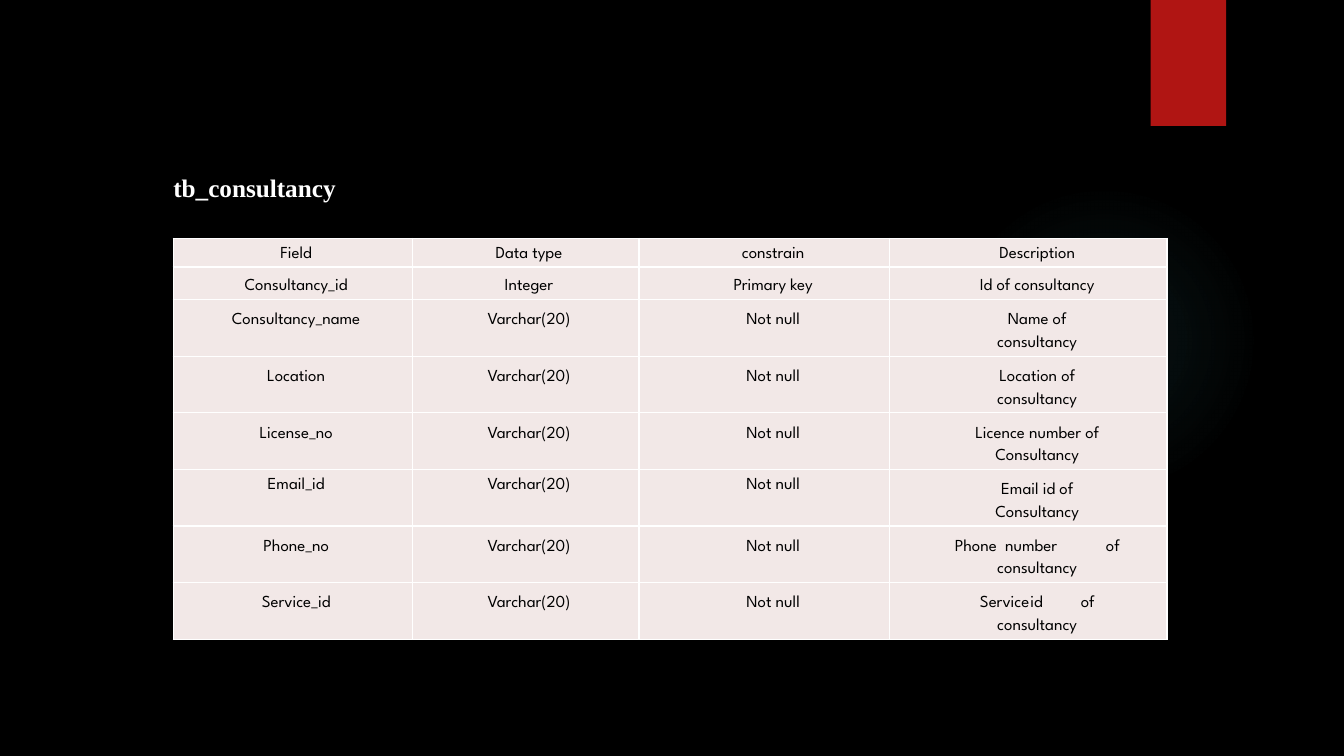
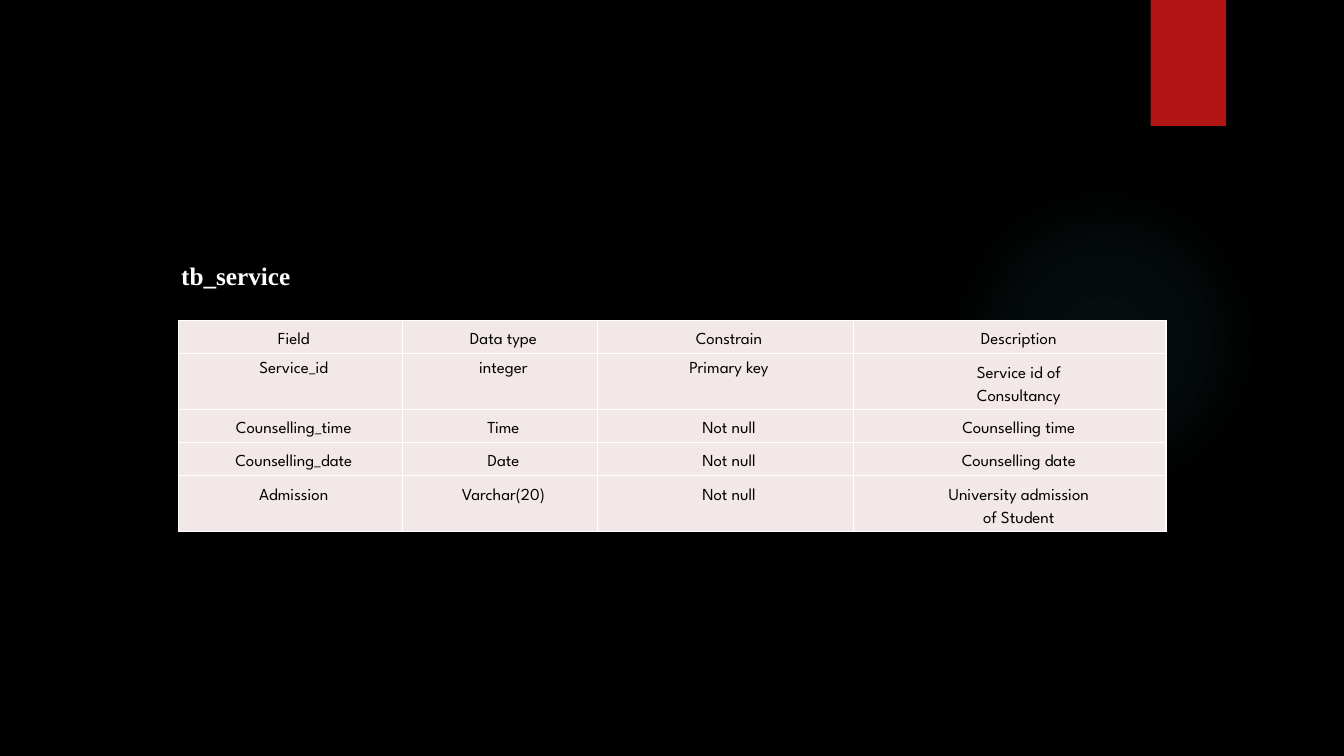
from dataclasses import dataclass

from pptx import Presentation
from pptx.dml.color import RGBColor as Rgb
from pptx.enum.shapes import MSO_SHAPE as Preset
from pptx.enum.text import MSO_ANCHOR as Anchor, MSO_AUTO_SIZE as AutoSize, PP_ALIGN as Align
from pptx.oxml import parse_xml
from pptx.util import Pt

DRAWING = 'xmlns:a="http://schemas.openxmlformats.org/drawingml/2006/main"'


@dataclass(frozen=True)
class Theme:
    background: str = "000000"
    ribbon: str = "B01513"
    glow: str = "50B9C1"
    cell: str = "F2E8E7"
    border: str = "FFFFFF"
    title: str = "FFFFFF"
    body: str = "000000"
    title_font: str = "Times New Roman"
    body_font: str = "League Spartan"
    title_size: float = 18
    body_size: float = 12
    border_width: float = 1
    tight_line: float = 13.2
    single_line: float = 16.1
    opening_line: float = 17.1
    cell_margin: float = 3.6
    tab: float = 36


@dataclass(frozen=True)
class Row:
    cells: tuple
    tight: bool = False

    def line_heights(self, column):
        lines = self.cells[column].split("\n")
        if len(lines) > 1:
            return [THEME.opening_line] + [THEME.single_line] * (len(lines) - 1)
        if self.tight:
            return [THEME.tight_line]
        wraps = "\n" in self.cells[-1]
        return [THEME.opening_line if wraps else THEME.single_line]

    def height(self):
        return sum(self.line_heights(len(self.cells) - 1)) + 2 * THEME.cell_margin


THEME = Theme()

CONSULTANCY_ROWS = (
    Row(("Field", "Data type", "constrain", "Description"), tight=True),
    Row(("Consultancy_id", "Integer", "Primary key", "Id of consultancy")),
    Row(("Consultancy_name", "Varchar(20)", "Not null", "Name of\nconsultancy")),
    Row(("Location", "Varchar(20)", "Not null", "Location of\nconsultancy")),
    Row(("License_no", "Varchar(20)", "Not null", "Licence number of\nConsultancy")),
    Row(("Email_id", "Varchar(20)", "Not null", "Email id of\nConsultancy"), tight=True),
    Row(("Phone_no", "Varchar(20)", "Not null", "Phone\tnumber\tof\nconsultancy")),
    Row(("Service_id", "Varchar(20)", "Not null", "Service\tid\tof\nconsultancy")),
)

SERVICE_ROWS = (
    Row(("Field", "Data type", "Constrain", "Description")),
    Row(("Service_id", "integer", "Primary key", "Service id of\nConsultancy"), tight=True),
    Row(("Counselling_time", "Time", "Not null", "Counselling time")),
    Row(("Counselling_date", "Date", "Not null", "Counselling date")),
    Row(("Admission", "Varchar(20)", "Not null", "University admission\nof Student")),
)


def add_run(para, text, font, size, color, bold=False):
    span = para.add_run()
    span.text = text
    span.font.name = font
    span.font.size = Pt(size)
    span.font.bold = bold
    span.font.color.rgb = Rgb.from_string(color)


def indent(para, left, first=0):
    properties = para._p.get_or_add_pPr()
    properties.set("marL", str(Pt(left)))
    properties.set("indent", str(Pt(first)))
    properties.set("defTabSz", str(Pt(THEME.tab)))


def add_plain_shape(page, preset, left, top, width, height, color):
    shape = page.shapes.add_shape(preset, Pt(left), Pt(top), Pt(width), Pt(height))
    shape.shadow.inherit = False
    shape.line.fill.background()
    shape.fill.solid()
    shape.fill.fore_color.rgb = Rgb.from_string(color)
    return shape


def fade_out(shape, color, stops):
    marks = "".join(
        f'<a:gs pos="{place * 1000}"><a:srgbClr val="{color}">'
        f'<a:alpha val="{opacity * 1000}"/></a:srgbClr></a:gs>'
        for place, opacity in stops
    )
    gradient = parse_xml(
        f'<a:gradFill {DRAWING} rotWithShape="1"><a:gsLst>{marks}</a:gsLst>'
        '<a:path path="circle"><a:fillToRect l="50000" t="50000" r="50000" b="50000"/>'
        "</a:path></a:gradFill>"
    )
    properties = shape.element.spPr
    properties.replace(properties.find("{*}solidFill"), gradient)


def decorate_layout(layout, page):
    fill = layout.background.fill
    fill.solid()
    fill.fore_color.rgb = Rgb.from_string(THEME.background)
    glow = add_plain_shape(page, Preset.OVAL, 677.5, 131.8, 221.8, 221.8, THEME.glow)
    fade_out(glow, THEME.glow, ((0, 7), (36, 6), (69, 0), (100, 0)))
    ribbon = add_plain_shape(page, Preset.RECTANGLE, 821.9, 0, 54, 90, THEME.ribbon)
    for place, shape in enumerate((glow, ribbon), start=2):
        layout.shapes.element.insert(place, shape.element)


def set_title(page, text, left, top):
    box = page.shapes.title
    box.left, box.top, box.width, box.height = Pt(left), Pt(top), Pt(480), Pt(28.8)
    frame = box.text_frame
    frame.word_wrap = True
    frame.auto_size = AutoSize.SHAPE_TO_FIT_TEXT
    frame.vertical_anchor = Anchor.TOP
    para = frame.paragraphs[0]
    para.alignment = Align.JUSTIFY
    indent(para, 36, 36)
    add_run(para, text, THEME.title_font, THEME.title_size, THEME.title, bold=True)


def outline_cell(cell):
    properties = cell._tc.get_or_add_tcPr()
    for place, side in enumerate(("lnL", "lnR", "lnT", "lnB")):
        properties.insert(place, parse_xml(
            f'<a:{side} {DRAWING} w="{Pt(THEME.border_width)}"><a:solidFill>'
            f'<a:srgbClr val="{THEME.border}"/></a:solidFill></a:{side}>'
        ))


def fill_cell(cell, text, line_heights, left):
    cell.fill.solid()
    cell.fill.fore_color.rgb = Rgb.from_string(THEME.cell)
    cell.margin_top = cell.margin_bottom = Pt(THEME.cell_margin)
    outline_cell(cell)
    frame = cell.text_frame
    for number, (line, height) in enumerate(zip(text.split("\n"), line_heights)):
        para = frame.add_paragraph() if number else frame.paragraphs[0]
        para.alignment = Align.CENTER
        para.line_spacing = Pt(height)
        indent(para, left)
        add_run(para, line, THEME.body_font, THEME.body_size, THEME.body)


def add_field_table(page, rows, left, top, widths, indents):
    total = sum(row.height() for row in rows)
    frame = page.shapes.add_table(
        len(rows), len(widths), Pt(left), Pt(top), Pt(sum(widths)), Pt(total)
    )
    table = frame.table
    table.first_row = table.horz_banding = False
    for column, width in zip(table.columns, widths):
        column.width = Pt(width)
    for number, row in enumerate(rows):
        table.rows[number].height = Pt(row.height())
        for column, text in enumerate(row.cells):
            fill_cell(table.cell(number, column), text, row.line_heights(column), indents[column])


def main():
    deck = Presentation()
    deck.slide_width, deck.slide_height = Pt(960), Pt(540)
    layout = deck.slide_layouts[5]

    consultancy = deck.slides.add_slide(layout)
    decorate_layout(layout, consultancy)
    set_title(consultancy, "tb_consultancy", 44.6, 119.5)
    add_field_table(consultancy, CONSULTANCY_ROWS, 123.8, 170.3,
                    (170.6, 162, 178.8, 198.5), (5, 5, 13, 13))

    service = deck.slides.add_slide(layout)
    set_title(service, "tb_service", 50.2, 182.2)
    add_field_table(service, SERVICE_ROWS, 127.4, 229,
                    (160, 139.5, 182.8, 223.2), (5, 5, 5, 13))

    deck.save("out.pptx")


if __name__ == "__main__":
    main()
